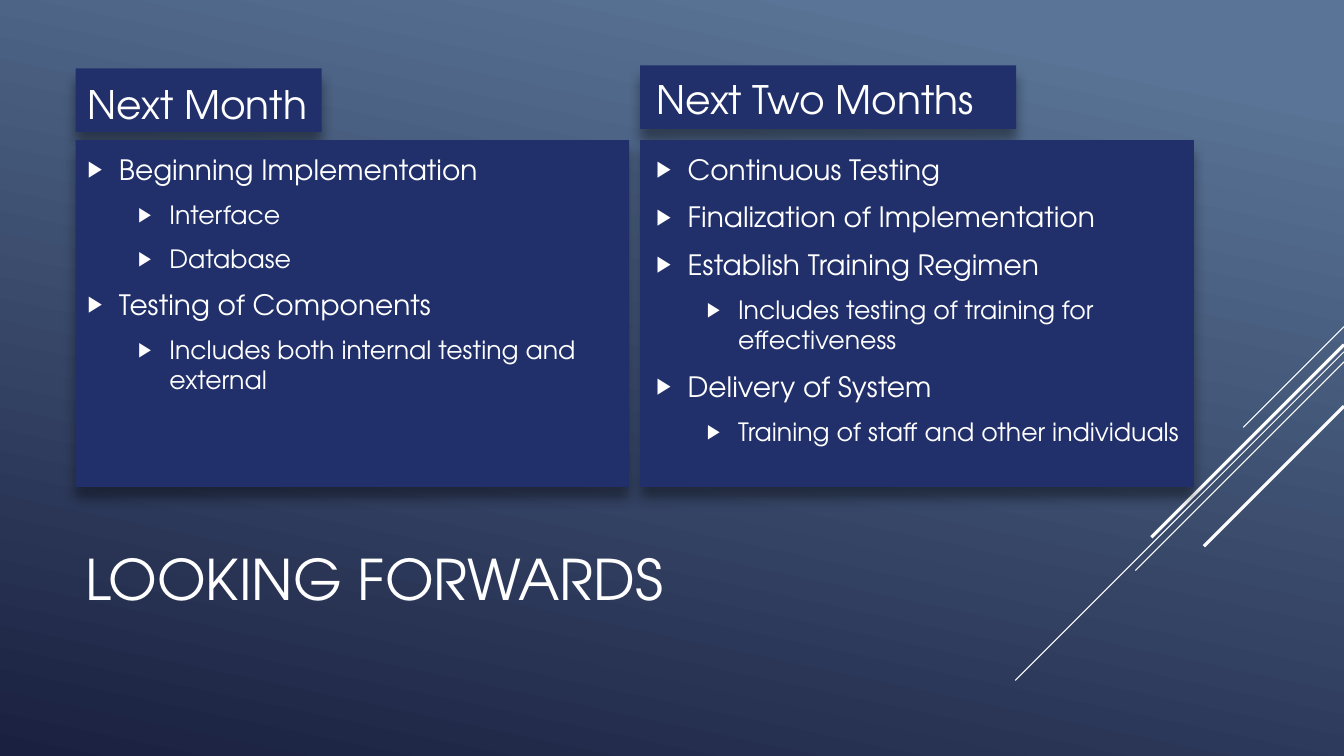
from lxml.etree import SubElement
from pptx import Presentation
from pptx.dml.color import RGBColor
from pptx.enum.shapes import MSO_CONNECTOR, MSO_SHAPE
from pptx.enum.text import MSO_ANCHOR, MSO_AUTO_SIZE, PP_ALIGN
from pptx.oxml.ns import qn
from pptx.util import Inches, Pt

WHITE = RGBColor(0xFF, 0xFF, 0xFF)
NAVY = RGBColor(0x21, 0x30, 0x6A)
SKY = RGBColor(0x59, 0x74, 0x96)
MIDNIGHT = RGBColor(0x1A, 0x20, 0x40)
FONT = "TeX Gyre Adventor"
SIZES = [20, 18]
SLIDE_W = 13.33

STREAKS = [(3.24, 1, 0.75), (3.49, 3.26, 0.75), (3.59, 2.07, 0.75),
           (3.42, 1.91, 2.25), (4.03, 1.39, 2.25)]
NEXT_MONTH = [(0, "Beginning Implementation"), (1, "Interface"), (1, "Database"),
              (0, "Testing of Components"),
              (1, "Includes both internal testing and external")]
NEXT_TWO_MONTHS = [(0, "Continuous Testing"), (0, "Finalization of Implementation"),
                   (0, "Establish Training Regimen"),
                   (1, "Includes testing of training for effectiveness"),
                   (0, "Delivery of System"),
                   (1, "Training of staff and other individuals")]


def add_background(s):
    """Fill the slide with the slanted blue gradient."""
    fill = s.background.fill
    fill.gradient()
    fill.gradient_angle = 258
    for stop, position, color in zip(fill.gradient_stops, (0.1, 1), (SKY, MIDNIGHT)):
        stop.position = position
        stop.color.rgb = color


def add_streaks(s):
    """Draw the 45-degree lines running down from the right edge."""
    for y, run, width in STREAKS:
        line = s.shapes.add_connector(
            MSO_CONNECTOR.STRAIGHT, Inches(SLIDE_W), Inches(y),
            Inches(SLIDE_W - run), Inches(y + run))
        line.line.color.rgb = WHITE
        line.line.width = Pt(width)
        SubElement(line.element.spPr, qn("a:effectLst"))
        s.shapes.title.element.addprevious(line.element)


def add_panel(s, x, y, w, h):
    """Add a navy rectangle with a soft shadow behind the text."""
    sp = s.shapes.add_shape(MSO_SHAPE.RECTANGLE, Inches(x), Inches(y), Inches(w), Inches(h))
    sp.fill.solid()
    sp.fill.fore_color.rgb = NAVY
    sp.line.fill.background()
    sp.shadow.inherit = False
    effects = sp.element.spPr.find(qn("a:effectLst"))
    shadow = SubElement(effects, qn("a:outerShdw"), blurRad=str(Pt(9)), dist=str(Pt(8)),
                        dir="5400000", algn="t", rotWithShape="0")
    color = SubElement(shadow, qn("a:srgbClr"), val="000000")
    SubElement(color, qn("a:alpha"), val="40000")
    s.shapes.title.element.addprevious(sp.element)


def place(sp, x, y, w, h, anchor):
    """Move a placeholder to its box and return its text frame."""
    sp.left, sp.top, sp.width, sp.height = Inches(x), Inches(y), Inches(w), Inches(h)
    tf = sp.text_frame
    tf.word_wrap = True
    tf.auto_size = MSO_AUTO_SIZE.NONE
    tf.vertical_anchor = anchor
    return tf


def write(p, text, size):
    """Set a left-aligned paragraph in the slide font."""
    p.text = text
    p.alignment = PP_ALIGN.LEFT
    for r in p.runs:
        r.font.name = FONT
        r.font.size = Pt(size)
        r.font.bold = False
        r.font.color.rgb = WHITE


def add_bullet(p, level):
    """Give a paragraph its triangle bullet and hanging indent."""
    p.level = level
    pPr = p._p.get_or_add_pPr()
    pPr.set("marL", str(Inches(0.31 + 0.5 * level)))
    pPr.set("indent", str(Inches(-0.31)))
    color = SubElement(pPr, qn("a:buClr"))
    SubElement(color, qn("a:srgbClr"), val=str(WHITE))
    SubElement(pPr, qn("a:buSzPct"), val="80000")
    SubElement(pPr, qn("a:buChar"), char="▶")


def add_column(s, idx, x, band, text_x, head_y, heading, items):
    """Build one column: heading band, panel and bulleted list."""
    band_y, band_w = band
    add_panel(s, x, band_y, band_w, 0.63)
    add_panel(s, x, 1.39, 5.49, 3.44)
    head, body = s.placeholders[idx], s.placeholders[idx + 1]
    tf = place(head, text_x, head_y, band_w, 0.63, MSO_ANCHOR.BOTTOM)
    write(tf.paragraphs[0], heading, 28)
    tf.paragraphs[0].space_after = Pt(6)
    tf = place(body, text_x, 1.46, 5.4, 3.31, MSO_ANCHOR.TOP)
    for i, (level, text) in enumerate(items):
        p = tf.add_paragraph() if i else tf.paragraphs[0]
        write(p, text, SIZES[level])
        p.space_after = Pt(6)
        add_bullet(p, level)


def add_title(s, x, y, w, h):
    """Place the slide title below the columns."""
    tf = place(s.shapes.title, x, y, w, h, MSO_ANCHOR.MIDDLE)
    write(tf.paragraphs[0], "LOOKING FORWARDS", 40)


def main():
    """Build and save the slide."""
    prs = Presentation()
    prs.slide_width, prs.slide_height = Inches(SLIDE_W), Inches(7.5)
    s = prs.slides.add_slide(prs.slide_layouts.get_by_name("Comparison"))
    add_background(s)
    add_streaks(s)
    add_title(s, 0.75, 4.91, 9.33, 1.65)
    add_column(s, 1, 0.75, (0.68, 2.44), 0.77, 0.68, "Next Month", NEXT_MONTH)
    add_column(s, 3, 6.35, (0.65, 3.73), 6.41, 0.63, "Next Two Months", NEXT_TWO_MONTHS)
    prs.save("out.pptx")


if __name__ == "__main__":
    main()
